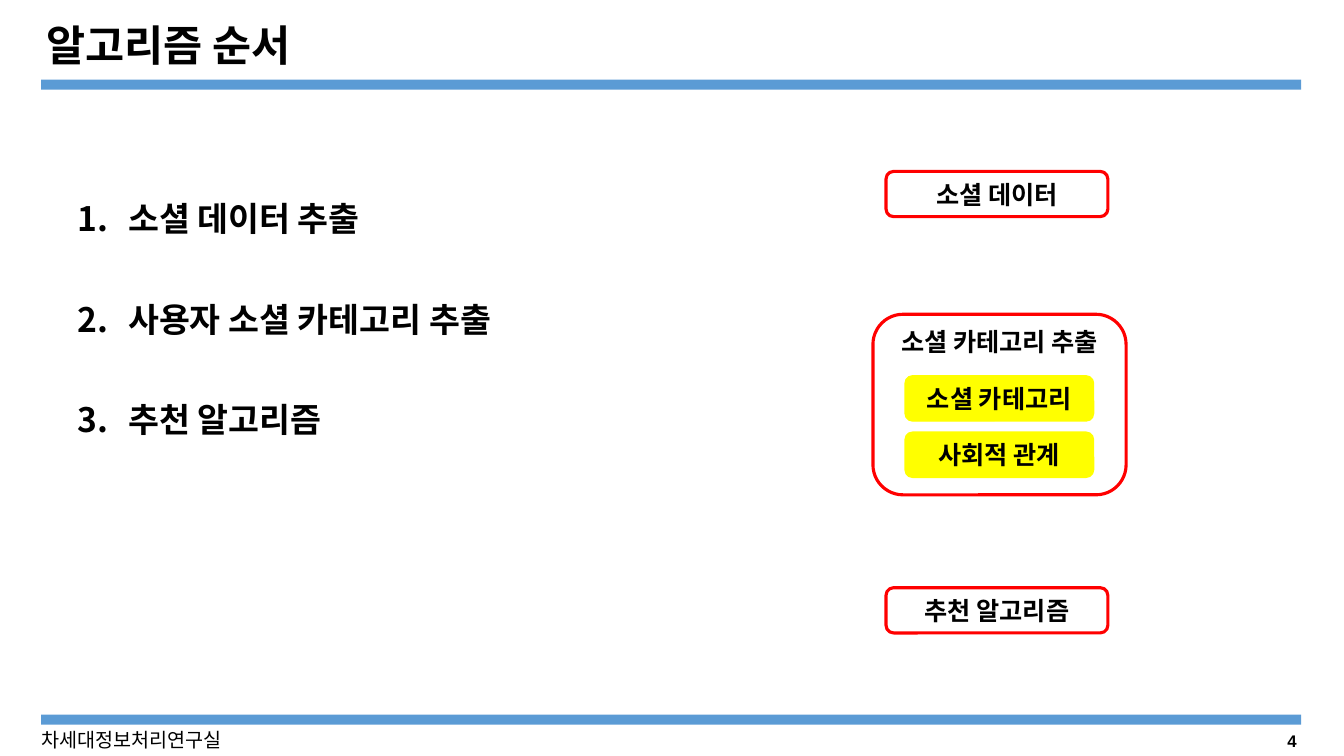
from pptx import Presentation
from pptx.dml.color import RGBColor
from pptx.enum.shapes import MSO_SHAPE
from pptx.enum.text import MSO_ANCHOR, MSO_AUTO_SIZE, PP_ALIGN
from pptx.oxml.ns import qn
from pptx.util import Cm, Pt
from lxml import etree

RECT, ROUNDED = MSO_SHAPE.RECTANGLE, MSO_SHAPE.ROUNDED_RECTANGLE
TOP, MIDDLE = MSO_ANCHOR.TOP, MSO_ANCHOR.MIDDLE
LEFT, CENTER, RIGHT = PP_ALIGN.LEFT, PP_ALIGN.CENTER, PP_ALIGN.RIGHT
COLORS = {"bar": "5B9BD5", "text": "000000", "paper": "FFFFFF",
          "outline": "FF0000", "highlight": "FFFF00"}
KOREAN, LATIN = "Noto Sans CJK KR", "Arial"

TITLE = "알고리즘 순서"
LAB = "차세대정보처리연구실"
PAGE = "4"
STEPS = ["소셜 데이터 추출", "사용자 소셜 카테고리 추출", "추천 알고리즘"]
STAGES = [("소셜 데이터", 4.32), ("추천 알고리즘", 14.81)]
CATEGORY_STAGE = "소셜 카테고리 추출"
CATEGORY_PARTS = ["소셜 카테고리", "사회적 관계"]

MARGIN, BAR_WIDTH, BAR_HEIGHT = 1.04, 31.75, 0.25
BAR_TOPS = [2.01, 18.01]
BOX_HEIGHT = 1.14
STAGE_LEFT, STAGE_WIDTH = 22.33, 5.59
PART_LEFT, PART_TOP, PART_WIDTH, PART_PITCH = 22.81, 9.47, 4.75, 1.42


def rgb(name):
    return RGBColor.from_string(COLORS[name])


def write(frame, lines, size, bold=True, align=LEFT, anchor=TOP, font=KOREAN, wrap=True):
    frame.text = "\n".join(lines)
    frame.word_wrap = wrap
    frame.auto_size = MSO_AUTO_SIZE.NONE
    frame.vertical_anchor = anchor
    frame.margin_left = frame.margin_right = Cm(0.13)
    frame.margin_top = frame.margin_bottom = Cm(0.13)
    for paragraph in frame.paragraphs:
        paragraph.alignment = align
        for run in paragraph.runs:
            run.font.size = Pt(size)
            run.font.bold = bold
            run.font.name = font
            run.font.color.rgb = rgb("text")
            east_asian = etree.SubElement(run.font._element, qn("a:ea"))
            east_asian.set("typeface", font)


def add_text(place, lines, size, **style):
    box = slide.shapes.add_textbox(*map(Cm, place))
    write(box.text_frame, lines, size, **style)
    return box.text_frame


def add_box(kind, place, fill, line=None, width=1):
    box = slide.shapes.add_shape(kind, *map(Cm, place))
    box.shadow.inherit = False
    box.fill.solid()
    box.fill.fore_color.rgb = rgb(fill)
    if line:
        box.line.color.rgb = rgb(line)
        box.line.width = Pt(width)
    else:
        box.line.fill.background()
    return box.text_frame


def number(paragraph):
    properties = paragraph._p.get_or_add_pPr()
    properties.set("marL", str(Cm(1.27)))
    properties.set("indent", str(-Cm(1.27)))
    bullet_font = etree.SubElement(properties, qn("a:buFont"))
    bullet_font.set("typeface", "+mj-lt")
    etree.SubElement(properties, qn("a:buAutoNum")).set("type", "arabicPeriod")
    paragraph.line_spacing = 2.5


prs = Presentation()
prs.slide_width, prs.slide_height = Cm(33.87), Cm(19.05)
slide = prs.slides.add_slide(prs.slide_layouts[5])

for bar_top in BAR_TOPS:
    add_box(RECT, (MARGIN, bar_top, BAR_WIDTH, BAR_HEIGHT), "bar")

title = slide.shapes.title
title.left, title.top, title.width, title.height = map(Cm, (MARGIN, 0.41, 25.43, 1.57))
write(title.text_frame, [TITLE], 30.4, anchor=MIDDLE)
title.text_frame.paragraphs[0].line_spacing = 0.9

add_text((0.91, 18.21, 6.71, 0.86), [LAB], 14, bold=False)
add_text((32.28, 18.29, 0.53, 0.74), [PAGE], 12, align=RIGHT, anchor=MIDDLE,
         font=LATIN, wrap=False)

steps = add_text((1.83, 3.33, 20.5, 7.95), STEPS, 24)
for step in steps.paragraphs:
    number(step)

for stage, stage_top in STAGES:
    frame = add_box(ROUNDED, (STAGE_LEFT, stage_top, STAGE_WIDTH, BOX_HEIGHT),
                    "paper", "outline", 2.25)
    write(frame, [stage], 18, align=CENTER, anchor=MIDDLE)

category = add_box(ROUNDED, (22, 7.92, 6.38, 4.55), "paper", "outline", 2.25)
write(category, [CATEGORY_STAGE], 18, align=CENTER)
category.margin_top = Cm(0.07)

for row, part in enumerate(CATEGORY_PARTS):
    frame = add_box(ROUNDED, (PART_LEFT, PART_TOP + row * PART_PITCH, PART_WIDTH, BOX_HEIGHT),
                    "highlight", "highlight")
    write(frame, [part], 18, align=CENTER, anchor=MIDDLE)

prs.save("out.pptx")
